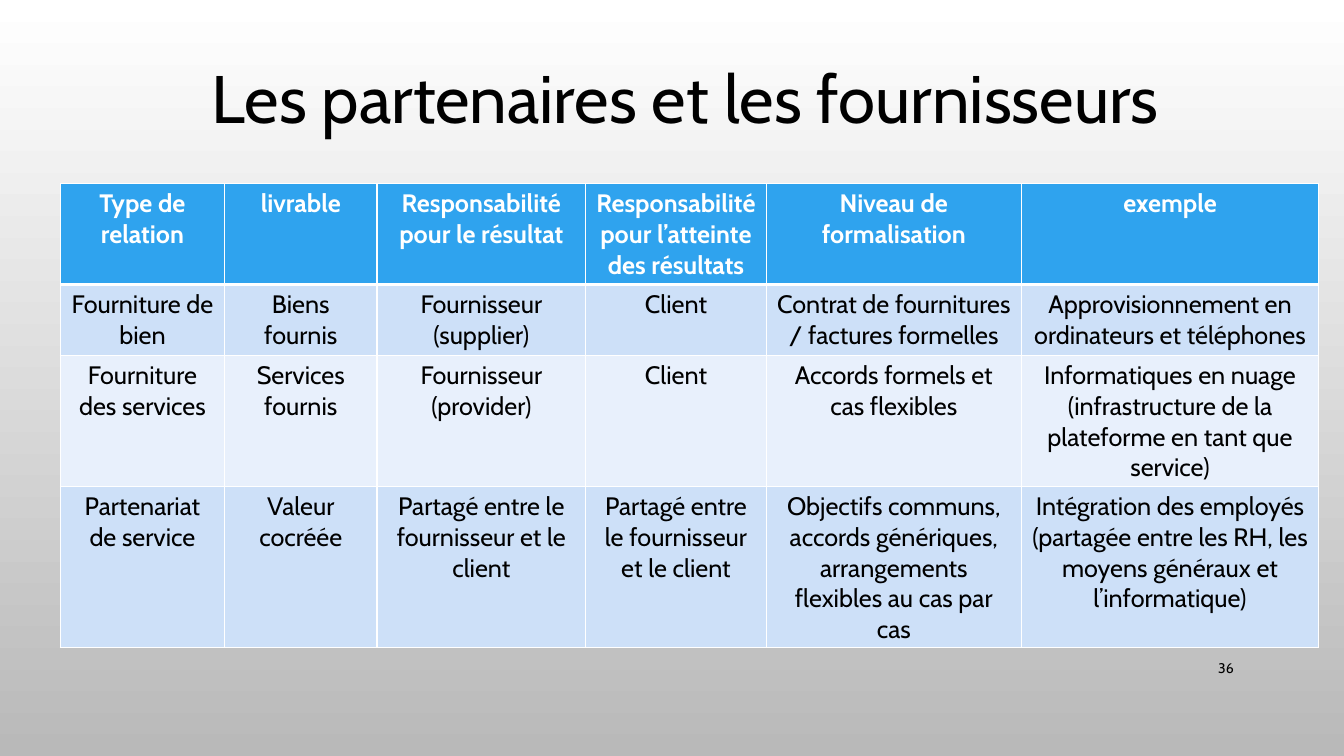
from lxml.etree import SubElement
from pptx import Presentation
from pptx.dml.color import RGBColor
from pptx.enum.text import MSO_ANCHOR as Anchor, PP_ALIGN as Align
from pptx.oxml.ns import qn
from pptx.util import Cm, Pt

FONT = "Cabin"
COLORS = {
    "black": "000000",
    "white": "FFFFFF",
    "gray": "B9B9B9",
    "header": "2FA3EE",
    "band_dark": "CDE0F8",
    "band_light": "E8F0FC",
}
COLUMN_WIDTHS = [4.14, 3.84, 5.26, 4.55, 6.43, 7.49]
ROW_HEIGHTS = [2.55, 1.77, 3.3, 4.07]
RELATIONS = [
    ["Type de relation", "livrable", "Responsabilité pour le résultat",
     "Responsabilité pour l’atteinte des résultats",
     "Niveau de formalisation", "exemple"],
    ["Fourniture de bien", "Biens fournis", "Fournisseur (supplier)", "Client",
     "Contrat de fournitures / factures formelles",
     "Approvisionnement en ordinateurs et téléphones"],
    ["Fourniture des services", "Services fournis", "Fournisseur (provider)", "Client",
     "Accords formels et cas flexibles",
     "Informatiques en nuage (infrastructure de la plateforme en tant que service)"],
    ["Partenariat de service", "Valeur cocréée",
     "Partagé entre le fournisseur et le client",
     "Partagé entre le fournisseur et le client",
     "Objectifs communs, accords génériques, arrangements flexibles au cas par cas",
     "Intégration des employés (partagée entre les RH, les moyens généraux "
     "et l’informatique)"],
]


def rgb(name):
    return RGBColor.from_string(COLORS[name])


def write_text(frame, text, size=18, color="black", bold=False, align=Align.CENTER):
    frame.word_wrap = True
    paragraph = frame.paragraphs[0]
    paragraph.alignment = align
    run = paragraph.add_run()
    run.text = text
    run.font.name = FONT
    run.font.size = Pt(size)
    run.font.bold = bold
    run.font.color.rgb = rgb(color)


def add_text(slide, box, text, anchor=Anchor.TOP, **text_format):
    shape = slide.shapes.add_textbox(*map(Cm, box))
    shape.text_frame.vertical_anchor = anchor
    write_text(shape.text_frame, text, **text_format)


def paint_background(slide):
    fill = slide.background.fill
    fill.gradient()
    fill.gradient_angle = 270
    for stop, color in zip(fill.gradient_stops, ("white", "gray")):
        stop.color.rgb = rgb(color)


def set_borders(cell, **widths):
    properties = cell._tc.get_or_add_tcPr()
    for side in "LRTB":
        line = SubElement(properties, qn(f"a:ln{side}"), w=str(Pt(widths.get(side, 1))))
        fill = SubElement(line, qn("a:solidFill"))
        SubElement(fill, qn("a:srgbClr"), val=COLORS["white"])


def add_relations_table(slide, left, top):
    table = slide.shapes.add_table(
        len(RELATIONS), len(COLUMN_WIDTHS), Cm(left), Cm(top),
        Cm(sum(COLUMN_WIDTHS)), Cm(sum(ROW_HEIGHTS))).table
    for column, width in zip(table.columns, COLUMN_WIDTHS):
        column.width = Cm(width)
    for row_index, (row, height) in enumerate(zip(table.rows, ROW_HEIGHTS)):
        row.height = Cm(height)
        is_header = row_index == 0
        band = "header" if is_header else "band_dark" if row_index % 2 else "band_light"
        for cell, text in zip(row.cells, RELATIONS[row_index]):
            set_borders(cell, B=3 if is_header else 1, T=3 if row_index == 1 else 1)
            cell.fill.solid()
            cell.fill.fore_color.rgb = rgb(band)
            write_text(cell.text_frame, text, bold=is_header,
                       color="white" if is_header else "black")


def main():
    presentation = Presentation()
    presentation.slide_width = Cm(33.87)
    presentation.slide_height = Cm(19.05)
    slide = presentation.slides.add_slide(presentation.slide_layouts[6])
    paint_background(slide)
    add_text(slide, (29.21, 16.33, 2.13, 1.02), "36",
             anchor=Anchor.MIDDLE, size=10, align=Align.RIGHT)
    add_text(slide, (2.54, 1.3, 29.46, 2.31), "Les partenaires et les fournisseurs", size=48)
    add_relations_table(slide, left=1.52, top=4.62)
    presentation.save("out.pptx")


if __name__ == "__main__":
    main()
